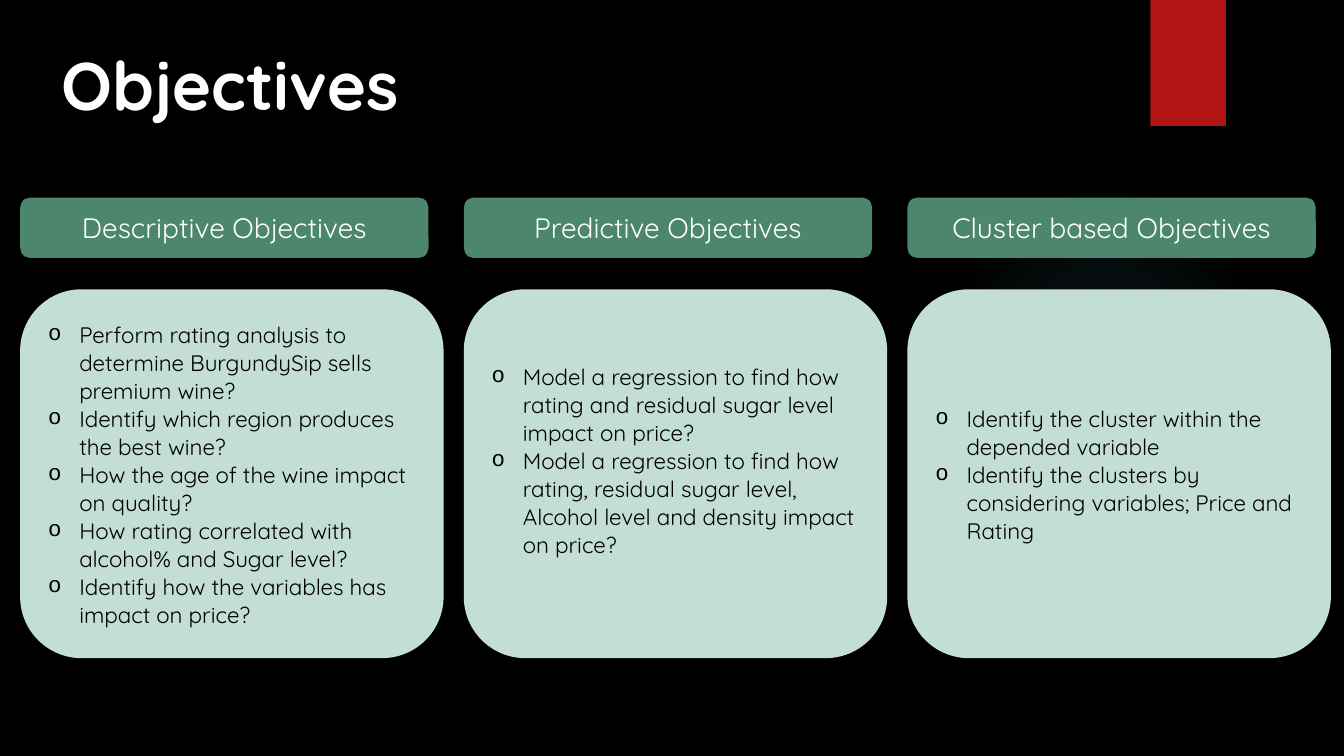
from dataclasses import dataclass
from lxml.etree import SubElement
from pptx import Presentation
from pptx.dml.color import RGBColor
from pptx.enum.shapes import MSO_SHAPE
from pptx.enum.text import MSO_ANCHOR, PP_ALIGN
from pptx.oxml import parse_xml
from pptx.oxml.ns import nsdecls, qn
from pptx.util import Inches, Pt


@dataclass(frozen=True)
class Theme:
    font: str = "Quicksand"
    bullet_font: str = "Courier New"
    background: str = "000000"
    ribbon: str = "B01513"
    glow: str = "50B9C1"
    header: str = "4B866D"
    card: str = "C3DED3"
    light: str = "FFFFFF"
    dark: str = "000000"
    title_size: int = 48
    header_size: int = 20
    body_size: int = 16
    body_leading: int = 20


theme = Theme()

prs = Presentation()
prs.slide_width, prs.slide_height = Inches(13.33), Inches(7.5)
slide = prs.slides.add_slide(prs.slide_layouts[6])
slide.background.fill.solid()
slide.background.fill.fore_color.rgb = RGBColor.from_string(theme.background)


def add_block(preset, left, top, width, height, color):
    block = slide.shapes.add_shape(
        preset, Inches(left), Inches(top), Inches(width), Inches(height))
    block.shadow.inherit = False
    block.line.fill.background()
    block.fill.solid()
    block.fill.fore_color.rgb = RGBColor.from_string(color)
    block.text_frame.word_wrap = True
    block.text_frame.vertical_anchor = MSO_ANCHOR.MIDDLE
    return block


def add_run(paragraph, text, size, color, bold=False):
    run = paragraph.add_run()
    run.text = text
    run.font.name = theme.font
    run.font.size = Pt(size)
    run.font.bold = bold
    run.font.color.rgb = RGBColor.from_string(color)


# Faint round glow behind the right column
glow = add_block(MSO_SHAPE.OVAL, 9.41, 1.83, 3.08, 3.08, theme.glow)
glow_stops = "".join(
    f'<a:gs pos="{position * 1000}"><a:srgbClr val="{theme.glow}">'
    f'<a:alpha val="{alpha * 1000}"/></a:srgbClr></a:gs>'
    for position, alpha in [(0, 7), (36, 6), (69, 0)])
glow_gradient = parse_xml(
    f'<a:gradFill {nsdecls("a")}><a:gsLst>{glow_stops}</a:gsLst><a:path path="circle">'
    '<a:fillToRect l="50000" t="50000" r="50000" b="50000"/></a:path></a:gradFill>')
glow_properties = glow.element.spPr
glow_properties.replace(glow_properties.find(qn("a:solidFill")), glow_gradient)

# Ribbon at the top edge
add_block(MSO_SHAPE.RECTANGLE, 11.41, 0, 0.75, 1.25, theme.ribbon)

# Title
title = slide.shapes.add_textbox(Inches(0.51), Inches(0.12), Inches(10.28), Inches(1.53))
title.text_frame.word_wrap = True
title.text_frame.vertical_anchor = MSO_ANCHOR.MIDDLE
title_line = title.text_frame.paragraphs[0]
title_line.line_spacing = 0.9
add_run(title_line, "Objectives", theme.title_size, theme.light, bold=True)

# Three columns: heading, room below the text in inches, objectives
columns = [
    ("Descriptive Objectives", 0.05, [
        "Perform rating analysis to determine BurgundySip sells premium wine?",
        "Identify which region produces the best wine?",
        "How the age of the wine impact on quality?",
        "How rating correlated with alcohol% and Sugar level?",
        "Identify how the variables has impact on price?",
    ]),
    ("Predictive Objectives", 0.33, [
        "Model a regression to find how rating and residual sugar level impact on price?",
        "Model a regression to find how rating, residual sugar level, "
        "Alcohol level and density impact on price?",
    ]),
    ("Cluster based Objectives", 0.05, [
        "Identify the cluster within the depended variable",
        "Identify the clusters by considering variables; Price and Rating",
    ]),
]
first_left, column_step = 0.2, 4.4

for index, (heading, room_below, objectives) in enumerate(columns):
    left = first_left + index * column_step

    header = add_block(MSO_SHAPE.ROUNDED_RECTANGLE, left, 1.96, 4.05, 0.6, theme.header)
    header_line = header.text_frame.paragraphs[0]
    header_line.alignment = PP_ALIGN.CENTER
    add_run(header_line, heading, theme.header_size, theme.light)

    card = add_block(MSO_SHAPE.ROUNDED_RECTANGLE, left, 2.87, 4.2, 3.66, theme.card)
    card_text = card.text_frame
    card_text.margin_bottom = Inches(room_below)
    for number, objective in enumerate(objectives):
        item = card_text.add_paragraph() if number else card_text.paragraphs[0]
        item.alignment = PP_ALIGN.LEFT
        item.line_spacing = Pt(theme.body_leading)
        add_run(item, objective, theme.body_size, theme.dark)
        # Hanging round bullet
        item_properties = item._p.get_or_add_pPr()
        item_properties.set("marL", str(Inches(0.31)))
        item_properties.set("indent", str(-Inches(0.31)))
        SubElement(item_properties, qn("a:buFont"), typeface=theme.bullet_font)
        SubElement(item_properties, qn("a:buChar"), char="o")

prs.save("out.pptx")
